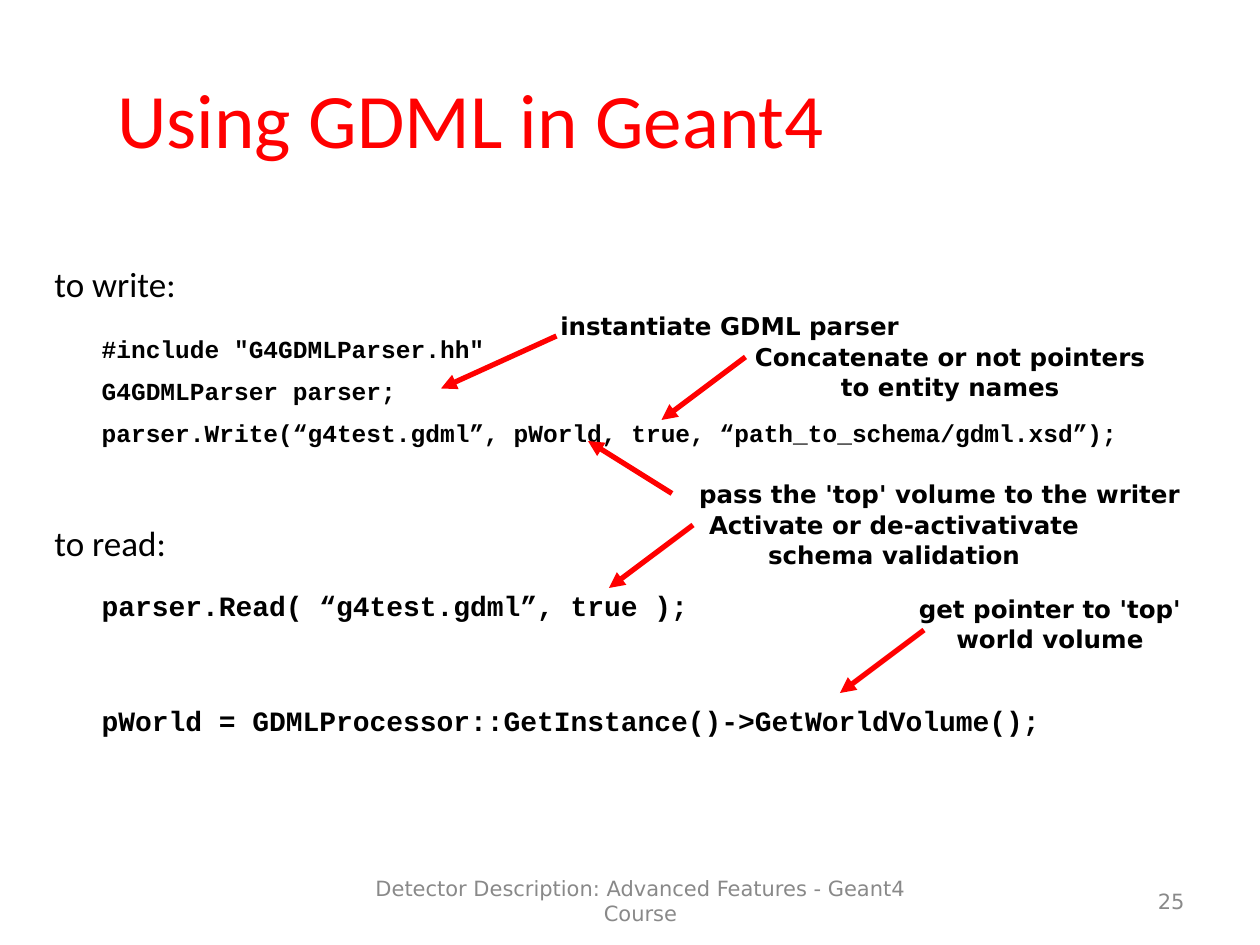
import pptx
import pptx.util
import pptx.dml.color
import pptx.enum.shapes
import pptx.enum.text
import pptx.oxml.ns
from dataclasses import dataclass
from lxml import etree

Pt = pptx.util.Pt
ALIGN = pptx.enum.text.PP_ALIGN
ANCHOR = pptx.enum.text.MSO_ANCHOR


@dataclass(frozen=True)
class Theme:
    red: str = "FF0000"
    black: str = "000000"
    grey: str = "898989"
    body_font: str = "Calibri"
    code_font: str = "Courier New"
    note_font: str = "DejaVu Sans"
    title_size: int = 44
    label_size: int = 20
    big_code_size: int = 16
    code_size: int = 14
    note_size: int = 14
    footer_size: int = 12


theme = Theme()


def style(para, font, size, color, bold=False):
    for span in para.runs:
        span.font.name = font
        span.font.size = Pt(size)
        span.font.bold = bold
        span.font.color.rgb = pptx.dml.color.RGBColor.from_string(color)


def add_box(left, top, width, height, text, font, size, color,
            align=ALIGN.LEFT, anchor=ANCHOR.TOP, bold=False):
    box = page.shapes.add_textbox(Pt(left), Pt(top), Pt(width), Pt(height))
    frame = box.text_frame
    frame.word_wrap = True
    frame.vertical_anchor = anchor
    frame.text = text
    frame.paragraphs[0].alignment = align
    style(frame.paragraphs[0], font, size, color, bold)


deck = pptx.Presentation()
deck.slide_width = Pt(720)
deck.slide_height = Pt(540)
page = deck.slides.add_slide(deck.slide_layouts[6])

# Title
add_box(60, 36.7, 651.6, 60.5, "Using GDML in Geant4", theme.body_font,
        theme.title_size, theme.red, anchor=ANCHOR.BOTTOM)

# Labels and code: text, is code, size, line height, space before
lines = [
    ("to write:", False, theme.label_size, 24, 0),
    ('#include "G4GDMLParser.hh"', True, theme.code_size, 16, 17.5),
    ("G4GDMLParser parser;", True, theme.code_size, 16, 8),
    ("parser.Write(“g4test.gdml”, pWorld, true, “path_to_schema/gdml.xsd”);",
     True, theme.code_size, 16, 8),
    ("to read:", False, theme.label_size, 24, 42.5),
    ("parser.Read( “g4test.gdml”, true );", True, theme.big_code_size, 18, 15.5),
    ("pWorld = GDMLProcessor::GetInstance()->GetWorldVolume();",
     True, theme.big_code_size, 18, 47.5),
]
box = page.shapes.add_textbox(Pt(24), Pt(150), Pt(648), Pt(312))
frame = box.text_frame
frame.word_wrap = True
frame.margin_top = 0
for index, (text, is_code, size, height, gap) in enumerate(lines):
    para = frame.add_paragraph() if index else frame.paragraphs[0]
    para.text = text
    para.line_spacing = Pt(height)
    para.space_before = Pt(gap)
    if is_code:
        para._p.get_or_add_pPr().set("marL", str(Pt(27)))
    style(para, theme.code_font if is_code else theme.body_font,
          size, theme.black, is_code)

# Callouts
callouts = [
    (294, 174, 246, 24.5, "instantiate GDML parser"),
    (384, 270, 306, 24.5, "pass the 'top' volume to the writer"),
    (378, 288, 266, 41, "Activate or de-activativate schema validation"),
    (510, 336, 180, 41, "get pointer to 'top' world volume"),
    (420, 192, 246, 41, "Concatenate or not pointers to entity names"),
]
for left, top, width, height, text in callouts:
    add_box(left, top, width, height, text, theme.note_font, theme.note_size,
            theme.black, ALIGN.CENTER, bold=True)

# Arrows from callouts to code
arrows = [
    (318, 192, 252, 222),
    (384, 282, 336, 252),
    (528, 360, 480, 396),
    (396, 300, 348, 336),
    (426, 204, 378, 240),
]
for ends in arrows:
    arrow = page.shapes.add_connector(
        pptx.enum.shapes.MSO_CONNECTOR.STRAIGHT, *map(Pt, ends))
    arrow.line.width = Pt(3)
    arrow.line.color.rgb = pptx.dml.color.RGBColor.from_string(theme.red)
    etree.SubElement(arrow.line._get_or_add_ln(),
                     pptx.oxml.ns.qn("a:tailEnd"), type="triangle")
    etree.SubElement(arrow._element.spPr, pptx.oxml.ns.qn("a:effectLst"))

# Footer and page number
add_box(192, 500.5, 348, 28.75,
        "Detector Description: Advanced Features - Geant4 Course",
        theme.note_font, theme.footer_size, theme.grey,
        ALIGN.CENTER, ANCHOR.MIDDLE)
add_box(600, 500.5, 84, 28.75, "25", theme.note_font, theme.footer_size,
        theme.grey, ALIGN.RIGHT, ANCHOR.MIDDLE)

deck.save("out.pptx")
